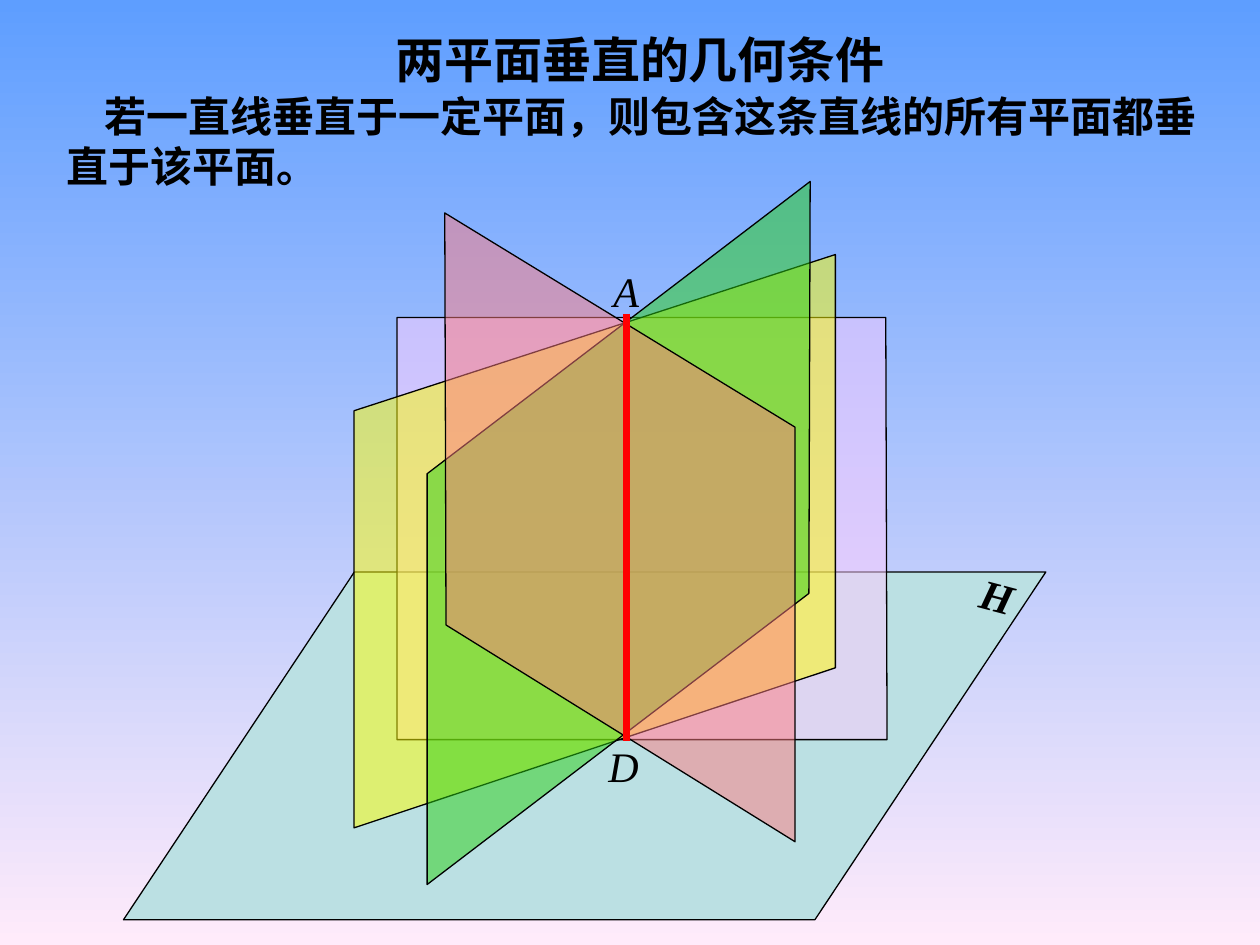
from lxml.etree import SubElement
from pptx import Presentation
from pptx.dml.color import RGBColor as RGB
from pptx.enum.shapes import MSO_CONNECTOR as Conn, MSO_SHAPE as Kind
from pptx.enum.text import MSO_ANCHOR as Anchor, PP_ALIGN as Align
from pptx.oxml.ns import qn
from pptx.util import Inches, Pt

BLACK = RGB(0x00, 0x00, 0x00)
RED = RGB(0xFF, 0x00, 0x00)
TEAL = RGB(0xBB, 0xE0, 0xE3)
LILAC = RGB(0xFF, 0xCC, 0xFF)
YELLOW = RGB(0xFF, 0xFF, 0x00)
GREEN = RGB(0x2A, 0xD0, 0x14)
PINK = RGB(0xFF, 0x7C, 0x80)
SKY = RGB(0x5E, 0x9E, 0xFF)
BLUSH = RGB(0xFF, 0xEB, 0xFA)

SERIF = "Times New Roman"
SANS = "Noto Sans CJK SC"

TITLE = "两平面垂直的几何条件"
RULE = "若一直线垂直于一定平面，则包含这条直线的所有平面都垂直于该平面。"
GROUND = (0.98, 4.54, 7.32, 2.76)
PLANES = [
    (LILAC, [(3.15, 2.52), (3.15, 5.87), (7.04, 5.87), (7.03, 2.52)]),
    (YELLOW, [(2.81, 3.26), (2.81, 6.57), (6.63, 5.3), (6.63, 2.02)]),
    (GREEN, [(3.39, 3.76), (3.39, 7.02), (6.42, 4.71), (6.43, 1.44)]),
    (PINK, [(3.53, 1.69), (3.54, 4.96), (6.31, 6.68), (6.31, 3.39)]),
]
AXIS = (4.97, 2.49, 4.97, 5.88)
TEXTS = [
    (RULE, (0.43, 0.67, 9.3, 0.9), 0, {"name": SANS, "bold": True}),
    ("A", (4.77, 2.06, 0.6, 0.5), 0, {"name": SERIF, "italic": True}),
    ("D", (4.73, 5.83, 0.6, 0.5), 0, {"name": SERIF, "italic": True}),
    ("H", (7.68, 4.54, 0.95, 0.5), 15,
     {"name": SERIF, "bold": True, "italic": True}),
]


def inches(nums):
    return [Inches(n) for n in nums]


def style(font, **form):
    for key, val in form.items():
        setattr(font, key, val)
    font.color.rgb = BLACK


def paint(shape, color, alpha=None):
    shape.shadow.inherit = False
    shape.fill.solid()
    shape.fill.fore_color.rgb = color
    shape.line.color.rgb = BLACK
    shape.line.width = Pt(0.75)
    if alpha:
        tint = shape.fill._xPr.find(qn("a:solidFill"))[0]
        SubElement(tint, qn("a:alpha"), val=str(alpha * 1000))


deck = Presentation()
deck.slide_width, deck.slide_height = Inches(10), Inches(7.5)
slide = deck.slides.add_slide(deck.slide_layouts[5])
shapes = slide.shapes

back = slide.background.fill
back.gradient()
back.gradient_angle = 270
for stop, color, place in zip(back.gradient_stops, (SKY, BLUSH), (0, 1)):
    stop.color.rgb = color
    stop.position = place

title = shapes.title
title.left, title.top, title.width, title.height = inches((0.83, 0.17, 8.5, 0.6))
frame = title.text_frame
frame.text = TITLE
frame.vertical_anchor = Anchor.MIDDLE
frame.paragraphs[0].alignment = Align.CENTER
style(frame.paragraphs[0].font, name="Arial", size=Pt(28), bold=True)

ground = shapes.add_shape(Kind.PARALLELOGRAM, *inches(GROUND))
ground.adjustments[0] = 0.664
paint(ground, TEAL)

for color, points in PLANES:
    first, *rest = [inches(p) for p in points]
    pen = shapes.build_freeform(*first)
    pen.add_line_segments(rest, close=True)
    paint(pen.convert_to_shape(), color, alpha=50)

for text, area, turn, form in TEXTS:
    box = shapes.add_textbox(*inches(area))
    box.rotation = turn
    frame = box.text_frame
    frame.word_wrap = True
    frame.text = text
    para = frame.paragraphs[0]
    if text == RULE:
        para._p.get_or_add_pPr().set("indent", str(Inches(0.3)))
    style(para.font, size=Pt(24), **form)

axis = shapes.add_connector(Conn.STRAIGHT, *inches(AXIS))
axis.line.color.rgb = RED
axis.line.width = Pt(4)
SubElement(axis._element.spPr, qn("a:effectLst"))

deck.save("out.pptx")
